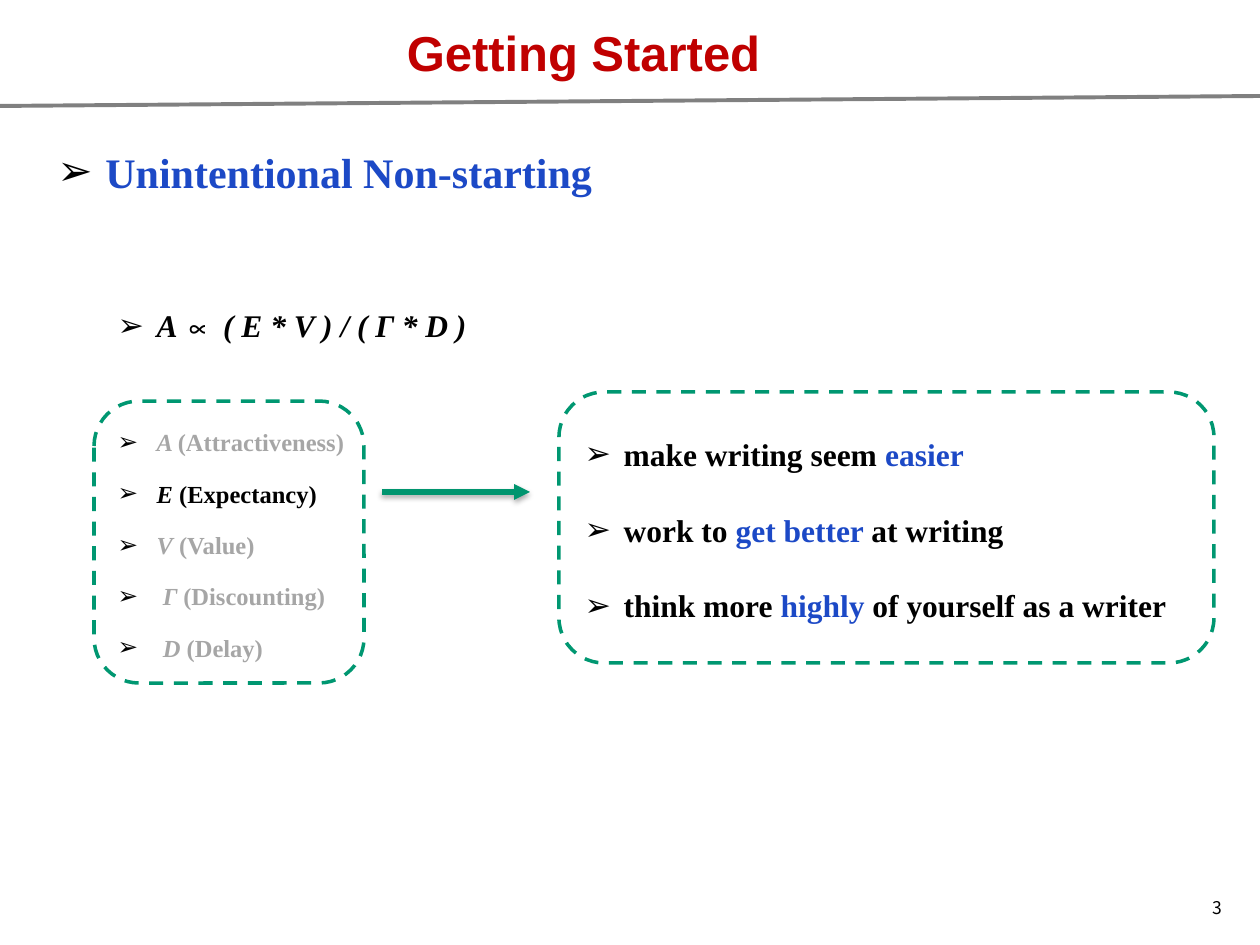
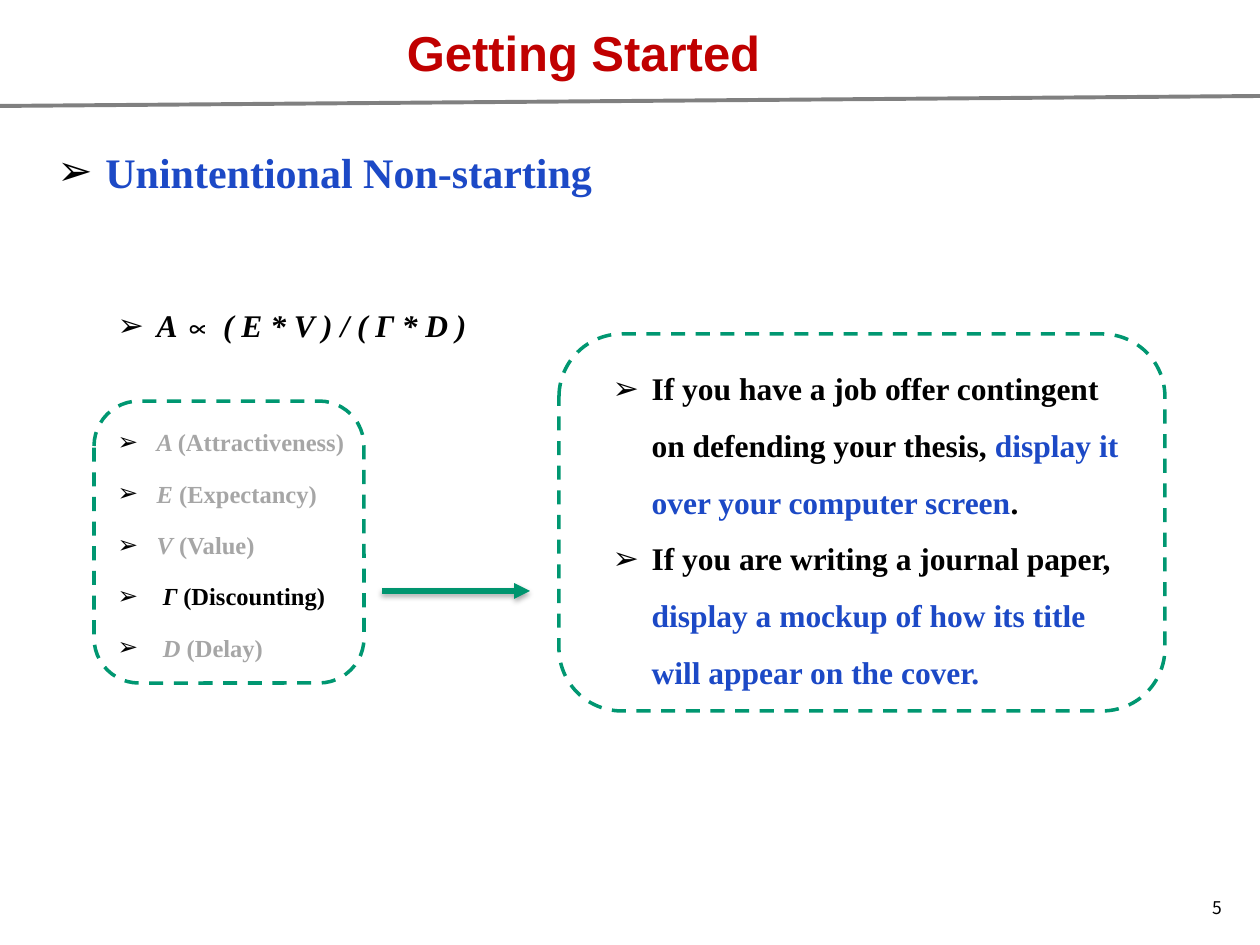
from dataclasses import dataclass

from lxml import etree
from pptx import Presentation
from pptx.dml.color import RGBColor
from pptx.enum.dml import MSO_LINE
from pptx.enum.shapes import MSO_CONNECTOR, MSO_SHAPE
from pptx.enum.text import MSO_ANCHOR, MSO_AUTO_SIZE, PP_ALIGN
from pptx.oxml.ns import qn
from pptx.util import Emu, Pt

STRAIGHT = MSO_CONNECTOR.STRAIGHT
ROUNDED = MSO_SHAPE.ROUNDED_RECTANGLE
DASH = MSO_LINE.DASH
NO_FIT = MSO_AUTO_SIZE.NONE
TOP, MIDDLE = MSO_ANCHOR.TOP, MSO_ANCHOR.MIDDLE
LEFT, CENTER, RIGHT = PP_ALIGN.LEFT, PP_ALIGN.CENTER, PP_ALIGN.RIGHT
TWO_CONTENT = 3
PX_PER_INCH = 126


@dataclass(frozen=True)
class Theme:
    """Colours, fonts and type sizes of the deck."""
    ink: str = "000000"
    muted: str = "A6A6A6"
    accent: str = "1C49C6"
    title: str = "C00000"
    rule: str = "808080"
    frame: str = "009771"
    arrow: str = "00956F"
    title_font: str = "Arial"
    body_font: str = "Times New Roman"
    number_font: str = "Noto Sans CJK SC"
    title_size: int = 28
    heading_size: int = 24
    body_size: int = 18
    factor_size: int = 14
    number_size: int = 10


THEME = Theme()
FACTORS = [("", "A ", "(Attractiveness)"), ("", "E ", "(Expectancy)"),
           ("", "V", " (Value)"), (" ", "Γ ", "(Discounting)"),
           (" ", "D", " (Delay)")]


def px(length):
    """Turn pixels into EMU."""
    return Emu(round(length * 914400 / PX_PER_INCH))


def rgb(colour):
    """Turn a hex string into a colour."""
    return RGBColor.from_string(colour)


def place(shape, box):
    """Move a shape to a box given in pixels."""
    shape.left, shape.top, shape.width, shape.height = map(px, box)
    return shape


def text_box(slide, box):
    """Add an empty text box."""
    return slide.shapes.add_textbox(*map(px, box))


def add_bullet(paragraph, indent):
    """Give a paragraph a hanging arrowhead bullet."""
    props = paragraph._p.get_or_add_pPr()
    props.set("marL", str(px(indent)))
    props.set("indent", str(-px(indent)))
    colour = etree.SubElement(props, qn("a:buClr"))
    etree.SubElement(colour, qn("a:srgbClr"), val=THEME.ink)
    etree.SubElement(props, qn("a:buFont"), typeface="Arial")
    etree.SubElement(props, qn("a:buChar"), char="➢")


def write(shape, paragraphs, size, font=THEME.body_font, bold=True, align=LEFT,
          anchor=TOP, wrap=True, indent=0, spacing=1.0, before=0):
    """Fill a shape with paragraphs, each a list of (text, colour, italic) runs."""
    frame = shape.text_frame
    frame.word_wrap, frame.auto_size = wrap, NO_FIT
    frame.vertical_anchor = anchor
    for index, runs in enumerate(paragraphs):
        paragraph = frame.add_paragraph() if index or frame.text else frame.paragraphs[0]
        paragraph.alignment = align
        paragraph.line_spacing = spacing
        paragraph.space_before = Pt(before)
        paragraph.space_after = Pt(0)
        if indent:
            add_bullet(paragraph, indent)
        for text, colour, italic in runs:
            run = paragraph.add_run()
            run.text = text
            run.font.name, run.font.size = font, Pt(size)
            run.font.bold, run.font.italic = bold, italic
            run.font.color.rgb = rgb(colour)
    return frame


def add_line(slide, start, end, colour, width):
    """Draw a straight line and return it with its empty effect list."""
    line = slide.shapes.add_connector(STRAIGHT, *map(px, start + end))
    line.line.color.rgb = rgb(colour)
    line.line.width = Pt(width)
    effects = etree.SubElement(line._element.spPr, qn("a:effectLst"))
    return line, effects


def add_arrow(slide, start, length):
    """Draw a shadowed arrow pointing right."""
    end = (start[0] + length, start[1])
    arrow, effects = add_line(slide, start, end, THEME.arrow, 3)
    etree.SubElement(arrow.line._get_or_add_ln(), qn("a:tailEnd"), type="triangle")
    shadow = etree.SubElement(effects, qn("a:outerShdw"), blurRad="40000",
                              dist="23000", dir="5400000", rotWithShape="0")
    colour = etree.SubElement(shadow, qn("a:srgbClr"), val=THEME.ink)
    etree.SubElement(colour, qn("a:alpha"), val="35000")


def add_dashed_frame(slide, box):
    """Draw an unfilled dashed rounded frame."""
    frame = slide.shapes.add_shape(ROUNDED, *map(px, box))
    frame.shadow.inherit = False
    frame.fill.background()
    frame.line.color.rgb = rgb(THEME.frame)
    frame.line.width = Pt(2)
    frame.line.dash_style = DASH


def header(slide, box):
    """Place the title, the sloping rule and the section heading."""
    x, y, width, _ = box
    add_line(slide, (x, y + 106), (x + width, y + 96), THEME.rule, 2.25)
    title = place(slide.shapes.title, (x + 392, y + 16, 383, 72))
    write(title, [[("Getting Started", THEME.title, False)]], THEME.title_size,
          font=THEME.title_font, align=CENTER, wrap=False)
    heading = text_box(slide, (x + 45, y + 140, 752, 63))
    write(heading, [[("Unintentional Non-starting", THEME.accent, False)]],
          THEME.heading_size, indent=48)


def factor_panel(slide, box, active):
    """Place the formula and its framed factors, with the active one in ink."""
    x, y, width, height = box
    model = place(slide.placeholders[1], (x + 11, y, width - 11, height - 13))
    layout = dict(indent=39, spacing=1.45, before=5)
    write(model, [[("A ∝ ( E * V ) / ( Γ * D )", THEME.ink, True)]],
          THEME.body_size, **layout)
    factors = []
    for index, (lead, symbol, meaning) in enumerate(FACTORS):
        colour = THEME.ink if index == active else THEME.muted
        runs = [(lead, colour, False), (symbol, colour, True), (meaning, colour, False)]
        factors.append([run for run in runs if run[0]])
    lines = write(model, factors, THEME.factor_size, **layout)
    lines.paragraphs[1].space_before = Pt(40)
    add_dashed_frame(slide, (x, y + 118, 270, height - 118))


def advice_panel(slide, box, advice, inset, spacing):
    """Place the advice list in its dashed frame."""
    x, y, width, height = box
    left, top, right = inset
    add_dashed_frame(slide, box)
    tips = place(slide.placeholders[2], (x + left, y + top, width - left - right, height - 28))
    write(tips, advice, THEME.body_size, indent=39, spacing=spacing)


def footer(slide, box, number):
    """Place the page number."""
    write(text_box(slide, box), [[(number, THEME.ink, False)]], THEME.number_size,
          font=THEME.number_font, bold=False, align=RIGHT, anchor=MIDDLE)


def factor_slide(deck, number, active, arrow_y, **advice):
    """Build a slide that gives advice on one factor."""
    slide = deck.slides.add_slide(deck.slide_layouts[TWO_CONTENT])
    header(slide, (0, 0, 1260, 106))
    factor_panel(slide, (94, 283, 923, 400), active)
    advice_panel(slide, **advice)
    add_arrow(slide, (382, arrow_y), 148)
    footer(slide, (1176, 883, 59, 50), number)


def plain(text):
    """Make a run in ink."""
    return text, THEME.ink, False


def key(text):
    """Make a run in the accent colour."""
    return text, THEME.accent, False


def main():
    """Build and save the deck."""
    deck = Presentation()
    deck.slide_width, deck.slide_height = px(1260), px(945)
    factor_slide(
        deck, "3", active=1, arrow_y=492, box=(559, 392, 655, 271),
        inset=(13, -1, 11), spacing=2.0,
        advice=[[plain("make writing seem "), key("easier")],
                [plain("work to "), key("get better "), plain("at writing")],
                [plain("think more "), key("highly"),
                 plain(" of yourself as a writer")]])
    factor_slide(
        deck, "5", active=3, arrow_y=591, box=(559, 334, 606, 377),
        inset=(41, 10, 27), spacing=1.5,
        advice=[[plain("If you have a job offer contingent on defending your thesis, "),
                 key("display it over your computer screen"), plain(".")],
                [plain("If you are writing a journal paper, "),
                 key("display a mockup of how its title will appear on the cover.")]])
    deck.save("out.pptx")


if __name__ == "__main__":
    main()
